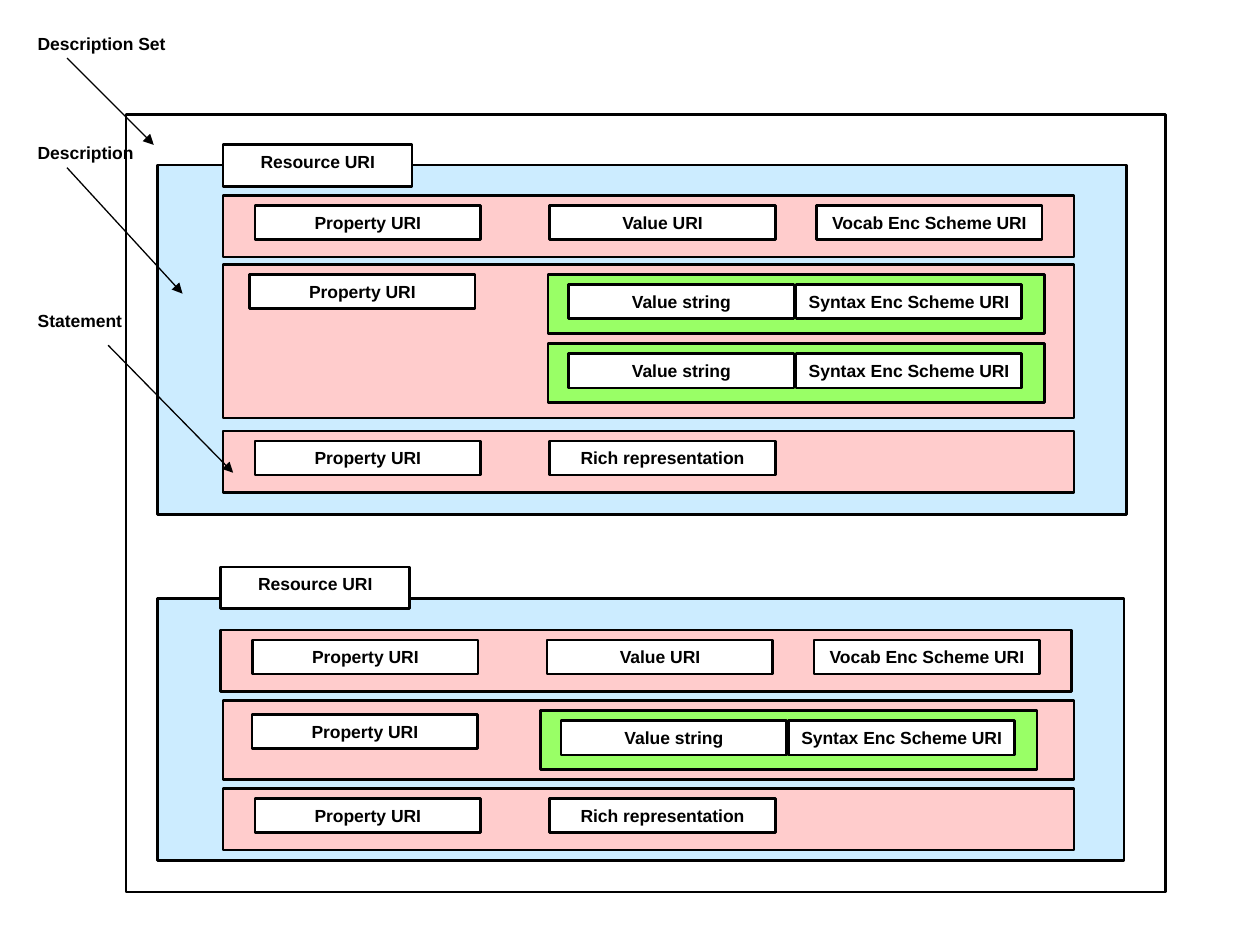
from lxml import etree
from pptx import Presentation
from pptx import util as u
from pptx.dml.color import RGBColor
from pptx.enum import shapes, text
from pptx.oxml.ns import qn

COLOURS = {
    "ink": "000000",
    "paper": "FFFFFF",
    "description": "CCECFF",
    "statement": "FFCCCC",
    "value": "99FF66",
}

FIELD_WIDTH, FIELD_HEIGHT = 4.55, 0.69
PROPERTY_X, VALUE_X, VOCABULARY_X = 0.64, 6.58, 11.96
DROP = 0.2  # from the top of a band to the fields inside it


class Diagram:
    """Holds the style and the slide; all lengths are centimetres."""

    font_name = "Arial"
    font_size = u.Pt(10)
    border = u.Pt(1.5)
    arrow_width = u.Pt(0.75)

    def __init__(self, slide):
        self.slide = slide

    def colour(self, name):
        return RGBColor.from_string(COLOURS[name])

    def set_words(self, shape, words, alignment, inset):
        frame = shape.text_frame
        frame.text = words
        frame.word_wrap = True
        frame.vertical_anchor = text.MSO_ANCHOR.TOP
        frame.margin_left = frame.margin_right = u.Cm(inset)
        frame.margin_top = frame.margin_bottom = u.Cm(0.13)
        paragraph = frame.paragraphs[0]
        paragraph.alignment = alignment
        font = paragraph.runs[0].font
        font.name, font.size, font.bold = self.font_name, self.font_size, True
        font.color.rgb = self.colour("ink")

    def box(self, left, top, width, height, fill=None, words=None):
        shape = self.slide.shapes.add_shape(
            shapes.MSO_SHAPE.RECTANGLE, u.Cm(left), u.Cm(top), u.Cm(width), u.Cm(height))
        shape.shadow.inherit = False
        if fill:
            shape.fill.solid()
            shape.fill.fore_color.rgb = self.colour(fill)
        else:
            shape.fill.background()
        shape.line.color.rgb = self.colour("ink")
        shape.line.width = self.border
        if words:
            self.set_words(shape, words, text.PP_ALIGN.CENTER, 0.2)

    def field(self, left, top, words):
        self.box(left, top, FIELD_WIDTH, FIELD_HEIGHT, "paper", words)

    def description(self, top, width, height, resource_left, resource_top):
        self.box(3.18, top, width, height, "description")
        self.box(resource_left, resource_top, 3.81, 0.84, "paper", "Resource URI")

    def statement(self, left, top, fields, height=1.24):
        self.box(left, top, 17.15, height, "statement")
        for offset, drop, words in fields:
            self.field(left + offset, top + drop, words)

    def value_string(self, left, top):
        self.box(left, top, 10.01, 1.19, "value")
        self.field(left + 0.41, top + DROP, "Value string")
        self.field(left + 5, top + DROP, "Syntax Enc Scheme URI")

    def label(self, top, width, words):
        shape = self.slide.shapes.add_textbox(u.Cm(0.51), u.Cm(top), u.Cm(width), u.Cm(0.64))
        self.set_words(shape, words, text.PP_ALIGN.LEFT, 0.25)

    def arrow(self, start, end):
        connector = self.slide.shapes.add_connector(
            shapes.MSO_CONNECTOR.STRAIGHT, *(u.Cm(value) for value in (*start, *end)))
        connector.line.color.rgb = self.colour("ink")
        connector.line.width = self.arrow_width
        properties = connector.element.spPr
        etree.SubElement(properties.find(qn("a:ln")), qn("a:tailEnd"), type="triangle")
        etree.SubElement(properties, qn("a:effectLst"))


def main():
    presentation = Presentation()
    presentation.slide_width, presentation.slide_height = u.Cm(25.4), u.Cm(19.05)
    diagram = Diagram(presentation.slides.add_slide(presentation.slide_layouts[6]))

    rich_fields = [(PROPERTY_X, DROP, "Property URI"), (VALUE_X, DROP, "Rich representation")]
    value_fields = [(PROPERTY_X, DROP, "Property URI"), (VALUE_X, DROP, "Value URI"),
                    (VOCABULARY_X, DROP, "Vocab Enc Scheme URI")]

    # Description set
    diagram.box(2.54, 2.31, 20.96, 15.67)

    # First description, with two value strings
    diagram.description(3.33, 19.53, 7.04, 4.5, 2.92)
    diagram.statement(4.5, 8.69, rich_fields)
    diagram.statement(4.5, 3.94, value_fields)
    diagram.statement(4.5, 5.33, [(0.53, DROP, "Property URI")], 3.1)
    for top in (5.53, 6.93):
        diagram.value_string(11.05, top)

    # Second description, with one value string
    diagram.description(12.07, 19.48, 5.28, 4.45, 11.43)
    diagram.statement(4.5, 15.9, rich_fields)
    diagram.statement(4.45, 12.7, value_fields)
    diagram.statement(4.5, 14.12, [(0.58, 0.28, "Property URI")], 1.6)
    diagram.value_string(10.9, 14.33)

    # Labels and their arrows
    for words, top, width, start, end in (
        ("Statement", 6.12, 2.67, (2.18, 6.96), (4.7, 9.53)),
        ("Description", 2.74, 3.38, (1.35, 3.38), (3.68, 5.92)),
        ("Description Set", 0.53, 3.38, (1.35, 1.17), (3.1, 2.92)),
    ):
        diagram.label(top, width, words)
        diagram.arrow(start, end)

    presentation.save("out.pptx")


if __name__ == "__main__":
    main()
